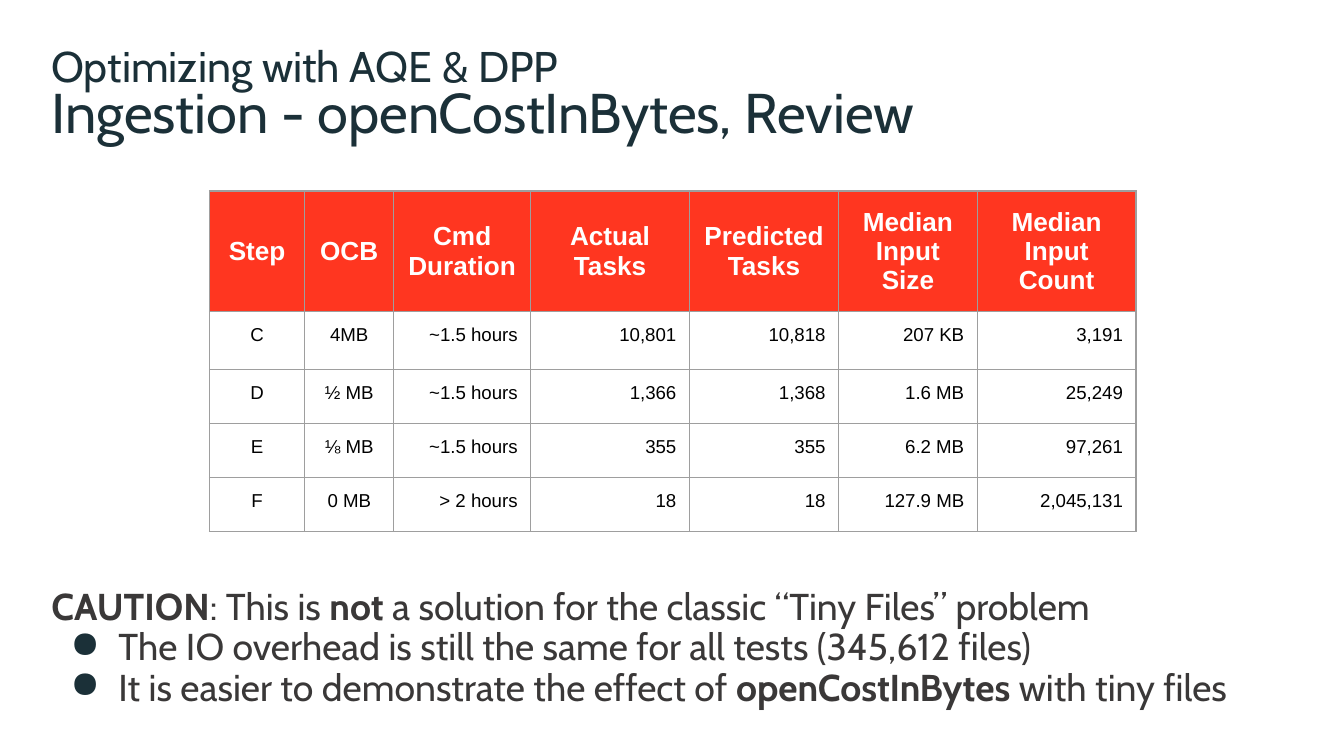
from pptx import Presentation
from pptx.dml.color import RGBColor as RGB
from pptx.enum.text import MSO_ANCHOR as Anchor, PP_ALIGN as Align
from pptx.oxml import parse_xml
from pptx.oxml.ns import nsdecls
from pptx.util import Cm, Pt

NAVY = RGB(0x1B, 0x30, 0x38)
GRAY = RGB(0x3A, 0x38, 0x38)
RED = RGB(0xFF, 0x36, 0x20)
LINE = RGB(0x9E, 0x9E, 0x9E)
WHITE = RGB(0xFF, 0xFF, 0xFF)
BLACK = RGB(0, 0, 0)
NS = nsdecls("a")

deck = Presentation()
deck.slide_width, deck.slide_height = Cm(25.4), Cm(14.29)
slide = deck.slides.add_slide(deck.slide_layouts[6])


def add_text(top, high, inset):
    box = slide.shapes.add_textbox(Cm(0.97), Cm(top), Cm(24.4), Cm(high))
    frame = box.text_frame
    frame.word_wrap = True
    frame.margin_left = frame.margin_right = 0
    frame.margin_top = frame.margin_bottom = Cm(inset)
    return frame


def set_font(para, name, size, color, bold=None):
    font = para.font
    font.name, font.size, font.bold = name, Pt(size), bold
    font.color.rgb = color


# Title and subtitle
heads = [
    ("Optimizing with AQE & DPP", 0.64, 1.07, 0.1, 23),
    ("Ingestion - openCostInBytes, Review", 1.47, 1.27, 0, 30),
]
for text, top, high, inset, size in heads:
    para = add_text(top, high, inset).paragraphs[0]
    para.text = text
    set_font(para, "Cabin", size, NAVY)

# Table of test steps
rows = [
    ["Step", "OCB", "Cmd\vDuration", "Actual\nTasks", "Predicted\nTasks",
     "Median\nInput Size", "Median Input Count"],
    ["C", "4MB", "~1.5 hours", "10,801", "10,818", "207 KB", "3,191"],
    ["D", "½ MB", "~1.5 hours", "1,366", "1,368", "1.6 MB", "25,249"],
    ["E", "⅛ MB", "~1.5 hours", "355", "355", "6.2 MB", "97,261"],
    ["F", "0 MB", "> 2 hours", "18", "18", "127.9 MB", "2,045,131"],
]
wides = [1.8, 1.68, 2.59, 3, 2.82, 2.62, 3]
highs = [1.57, 1.09, 1.02, 1.02, 1.02]
table = slide.shapes.add_table(
    len(rows), len(wides), Cm(3.96), Cm(3.61), Cm(sum(wides)), Cm(sum(highs))
).table
table.horz_banding = False
for col, wide in zip(table.columns, wides):
    col.width = Cm(wide)

for r, (row, high) in enumerate(zip(rows, highs)):
    table.rows[r].height = Cm(high)
    head = r == 0
    for c, text in enumerate(row):
        cell = table.cell(r, c)
        cell.text = text
        cell.margin_left = cell.margin_right = Cm(0.25)
        cell.margin_top = cell.margin_bottom = Cm(0.25)
        cell.vertical_anchor = Anchor.MIDDLE if head else Anchor.TOP
        props = cell._tc.get_or_add_tcPr()
        for side in "LRTB":
            props.append(parse_xml(
                f'<a:ln{side} {NS} w="{Pt(0.75)}"><a:solidFill>'
                f'<a:srgbClr val="{LINE}"/></a:solidFill></a:ln{side}>'))
        cell.fill.solid()
        cell.fill.fore_color.rgb = RED if head else WHITE
        for para in cell.text_frame.paragraphs:
            para.alignment = Align.CENTER if head or c < 2 else Align.RIGHT
            set_font(para, "Arial", 14 if head else 10,
                     WHITE if head else BLACK, head)

# Caution: each line lists its (text, bold) runs
lines = [
    [("CAUTION", True), (": This is ", False), ("not", True),
     (" a solution for the classic “Tiny Files” problem", False)],
    [("The IO overhead is still the same for all tests (345,612 files)", False)],
    [("It is easier to demonstrate the effect of ", False),
     ("openCostInBytes ", True), ("with tiny files", False)],
]
frame = add_text(11.02, 2.54, 0.1)
for i, line in enumerate(lines):
    para = frame.add_paragraph() if i else frame.paragraphs[0]
    if i:
        props = para._p.get_or_add_pPr()
        props.set("marL", str(Cm(1.27)))
        props.set("indent", str(Cm(-0.91)))
        props.append(parse_xml(
            f'<a:buClr {NS}><a:srgbClr val="{NAVY}"/></a:buClr>'))
        props.append(parse_xml(f'<a:buChar {NS} char="●"/>'))
    para.line_spacing = 0.9
    set_font(para, "Cabin", 20, GRAY)
    for text, bold in line:
        run = para.add_run()
        run.text = text
        run.font.bold = bold

deck.save("out.pptx")
